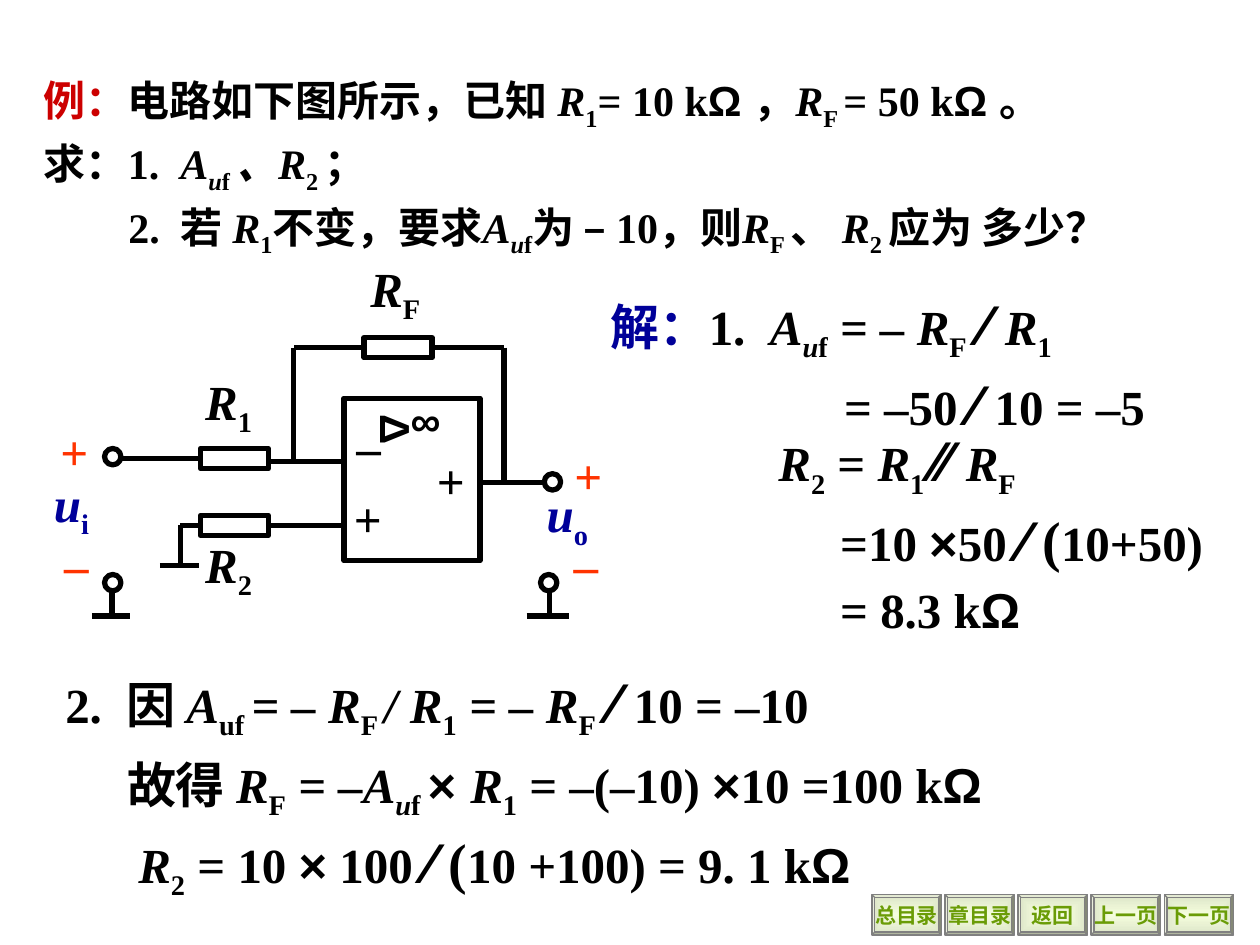
"""Build the worked op-amp example slide with its circuit and navigation buttons."""
from lxml import etree
from pptx import Presentation
from pptx.dml.color import RGBColor
from pptx.enum import shapes, text
from pptx.oxml import ns
from pptx.util import Inches, Pt

BLACK, RED, BLUE, ORANGE, GREEN, GREY = "000000", "CC0000", "000099", "FF3300", "6A9C06", "808080"
SERIF, SANS = "Times New Roman", "Arial"
STYLES = {
    "": {},
    "i": {"italic": True},
    "sub": {"baseline": -25000},
    "isub": {"italic": True, "baseline": -25000},
    "sans": {"name": SANS},
    "slash": {"name": SANS, "size": Pt(32)},
    "big": {"size": Pt(32)},
    "red": {"color": RED},
    "blue": {"color": BLUE},
}
QUESTION = [
    (0, [("例：", "red"), ("电路如下图所示，已知 ", ""), ("R", "i"), ("1", "sub"), ("= 10 k", ""), ("Ω ", "sans"),
         ("，", ""), ("R", "i"), ("F ", "sub"), ("= 50 k", ""), ("Ω ", "sans"), ("。", "")]),
    (0, [("求：1.  ", ""), ("A", "i"), ("u", "isub"), ("f ", "sub"), ("、R", "i"), ("2 ", "sub"), ("；", "")]),
    (0.67, [("2.  若 ", ""), ("R", "i"), ("1", "sub"), ("不变，要求", ""), ("A", "i"), ("u", "isub"), ("f", "sub"),
            ("为 – 10，则", ""), ("R", "i"), ("F ", "sub"), ("、 ", ""), ("R", "i"), ("2 ", "sub"),
            ("应为 多少？", "")]),
]
GAIN = [
    (0, [("解：", "blue"), ("1.  ", ""), ("A", "i"), ("u", "isub"), ("f", "sub"), (" = – R", "i"), ("F  ", "sub"),
         ("⁄ ", "slash"), ("R", "i"), ("1", "sub")]),
    (1.85, [("= –50 ", ""), ("⁄ ", "slash"), ("10 = –5", "")]),
]
BALANCE = [
    (0, [("R", "i"), ("2", "sub"), (" =", ""), (" R", "i"), ("1 ", "sub"), ("⁄⁄ ", "slash"), ("R", "i"), ("F", "sub")]),
    (0.49, [("=10 ", ""), ("×", "sans"), ("50 ", ""), ("⁄", "slash"), (" (", "big"), ("10+50)", "")]),
    (0.49, [("= 8.3 k", ""), ("Ω", "sans")]),
]
PART_TWO = [
    (0, [("2.  因 ", ""), ("A", "i"), ("uf ", "sub"), ("= – R", "i"), ("F ", "sub"), ("/ R", "i"), ("1", "sub"),
         (" = – R", "i"), ("F  ", "sub"), ("⁄ ", "slash"), ("10 = –10", "")]),
    (0.49, [("故得 ", ""), ("R", "i"), ("F", "sub"), (" = –A", "i"), ("u", "isub"), ("f ", "sub"), ("×", "sans"),
            (" ", "big"), ("R", "i"), ("1", "sub"), (" = –(–10) ", ""), ("×", "sans"), ("10 =100 k", ""),
            ("Ω", "sans")]),
    (0.58, [("R", "i"), ("2", "sub"), (" = 10 ", ""), ("×", "sans"), (" 100 ", ""), ("⁄", "slash"), (" (", "big"),
            ("10 +100) = 9. 1 k", ""), ("Ω", "sans")]),
]
TEXT_BLOCKS = [
    ((0.25, 0.5, 9.58, 1.6), QUESTION, 24, {"line_spacing": 1.1}),
    ((4.75, 2.25, 5.08, 1.27), GAIN, 28, {"space_before": Pt(3.5)}),
    ((6.08, 3.33, 3.83, 1.79), BALANCE, 28, {"space_before": Pt(3.5)}),
    ((0.42, 5.25, 8.17, 1.96), PART_TWO, 28, {"space_before": Pt(3.5)}),
]
SYMBOLS = [
    ((4.24, 3.79, 1.18, 0.63), "u", "o", BLUE),
    ((2.84, 2, 1.18, 0.63), "R", "F", BLACK),
    ((0.33, 3.71, 0.64, 0.63), "u", "i", BLUE),
    ((1.53, 4.19, 0.73, 0.63), "R", "2", BLACK),
    ((1.53, 2.9, 0.73, 0.63), "R", "1", BLACK),
]
POLARITIES = [
    ((0.38, 3.3, 0.42, 0.57), "+"),
    ((4.46, 3.49, 0.42, 0.57), "+"),
    ((0.41, 4.19, 0.39, 0.57), "–"),
    ((4.32, 4.19, 0.66, 0.57), "–"),
]
AMPLIFIER_MARKS = [
    ((2.71, 3.83, 0.46, 0.57), "+", "", 28),
    ((3.37, 3.53, 0.83, 0.57), "+", "", 28),
    ((3.16, 3.08, 1.09, 0.5), "∞", "sans", 24),
    ((2.73, 3.26, 0.68, 0.57), "–", "", 28),
]
BOXES = {
    "RF": (2.89, 2.68, 0.54, 0.16),
    "R1": (1.59, 3.56, 0.54, 0.16),
    "R2": (1.59, 4.09, 0.54, 0.16),
    "amplifier": (2.73, 3.16, 1.08, 1.29),
}
TERMINALS = [(0.83, 3.56), (4.32, 3.76), (0.83, 4.56), (4.29, 4.56)]
JOINED_WIRES = [
    ("RF", 3, (4, 2.76)),
    ("RF", 1, (2.33, 2.76)),
    ("R1", 1, (0.95, 3.64)),
    ("R2", 1, (1.43, 4.17)),
    ("R2", 3, (2.73, 4.17)),
]
FREE_WIRES = [
    (4, 2.76, 4, 3.85), (2.33, 2.76, 2.33, 3.68), (2.13, 3.66, 2.73, 3.66), (3.8, 3.83, 4.33, 3.83),
    (1.43, 4.17, 1.43, 4.49), (1.27, 4.49, 1.58, 4.49), (4.36, 4.67, 4.36, 4.89), (4.18, 4.89, 4.52, 4.89),
    (0.89, 4.67, 0.89, 4.89), (0.73, 4.89, 1.03, 4.89),
]
BUTTONS = ["总目录", "章目录", "返回", "上一页", "下一页"]


def rgb(value):
    return RGBColor.from_string(value)


def lengths(values):
    return [Inches(value) for value in values]


def add_run(paragraph, words, style, size, color):
    run = paragraph.add_run()
    run.text = words
    look = {"name": SERIF, "size": Pt(size), "bold": True, "color": color, **STYLES[style]}
    run.font.color.rgb = rgb(look.pop("color"))
    baseline = look.pop("baseline", None)
    for key, value in look.items():
        setattr(run.font, key, value)
    if baseline:
        run.font._element.set("baseline", str(baseline))


def add_text(slide, place, paragraphs, size, color=BLACK, layout=None, wrap=True):
    box = slide.shapes.add_textbox(*lengths(place))
    frame = box.text_frame
    frame.word_wrap = wrap
    frame.auto_size = text.MSO_AUTO_SIZE.SHAPE_TO_FIT_TEXT
    for index, (indent, runs) in enumerate(paragraphs):
        paragraph = frame.add_paragraph() if index else frame.paragraphs[0]
        for key, value in (layout or {}).items():
            setattr(paragraph, key, value)
        if indent:
            paragraph._p.get_or_add_pPr().set("marL", str(Inches(indent)))
        for words, style in runs:
            add_run(paragraph, words, style, size, color)
    return box


def add_outline(slide, kind, place):
    shape = slide.shapes.add_shape(kind, *lengths(place))
    shape.shadow.inherit = False
    shape.fill.background()
    shape.line.color.rgb = rgb(BLACK)
    shape.line.width = Pt(3)
    return shape


def add_wire(slide, ends):
    wire = slide.shapes.add_connector(shapes.MSO_CONNECTOR.STRAIGHT, *lengths(ends))
    wire.line.color.rgb = rgb(BLACK)
    wire.line.width = Pt(3)
    etree.SubElement(wire._element.spPr, ns.qn("a:effectLst"))
    return wire


def add_button(slide, index, caption):
    place = (6.92 + 0.58 * index, 7.1, 0.55, 0.32)
    button = slide.shapes.add_shape(shapes.MSO_SHAPE.BEVEL, *lengths(place))
    button.shadow.inherit = False
    button.adjustments[0] = 0.07
    button.fill.gradient()
    for stop, color in zip(button.fill.gradient_stops, ("F5FEDE", "DCE4C7")):
        stop.color.rgb = rgb(color)
    gradient = button._element.spPr.find(ns.qn("a:gradFill"))
    gradient.remove(gradient.find(ns.qn("a:lin")))
    shade = etree.SubElement(gradient, ns.qn("a:path"), {"path": "rect"})
    etree.SubElement(shade, ns.qn("a:fillToRect"), {side: "50000" for side in "ltrb"})
    button.line.color.rgb = rgb(GREY)
    button.line.width = Pt(0.75)
    frame = button.text_frame
    frame.word_wrap = False
    frame.vertical_anchor = text.MSO_ANCHOR.MIDDLE
    frame.paragraphs[0].alignment = text.PP_ALIGN.CENTER
    add_run(frame.paragraphs[0], caption, "", 12, GREEN)


def add_circuit(slide):
    centred = {"alignment": text.PP_ALIGN.CENTER}
    boxes = {name: add_outline(slide, shapes.MSO_SHAPE.RECTANGLE, place) for name, place in BOXES.items()}
    for name, side, end in JOINED_WIRES:
        add_wire(slide, end + end).begin_connect(boxes[name], side)
    for ends in FREE_WIRES:
        add_wire(slide, ends)
    for left, top in TERMINALS:
        add_outline(slide, shapes.MSO_SHAPE.OVAL, (left, top, 0.13, 0.13))
    for place, letter, subscript, color in SYMBOLS:
        add_text(slide, place, [(0, [(letter, "i"), (subscript, "sub")])], 28, color)
    for place, sign in POLARITIES:
        add_text(slide, place, [(0, [(sign, "")])], 28, ORANGE, centred, wrap=False)
    for place, mark, style, size in AMPLIFIER_MARKS:
        add_text(slide, place, [(0, [(mark, style)])], size)
    triangle = add_text(slide, (2.95, 3.14, 0.4, 0.5), [(0, [("Δ", "sans")])], 24, BLACK, centred, wrap=False)
    triangle.rotation = 90


def main():
    presentation = Presentation()
    presentation.slide_width, presentation.slide_height = lengths((10, 7.5))
    slide = presentation.slides.add_slide(presentation.slide_layouts[6])
    for index, caption in enumerate(BUTTONS):
        add_button(slide, index, caption)
    for place, paragraphs, size, layout in TEXT_BLOCKS:
        add_text(slide, place, paragraphs, size, layout=layout)
    add_circuit(slide)
    presentation.save("out.pptx")


if __name__ == "__main__":
    main()
